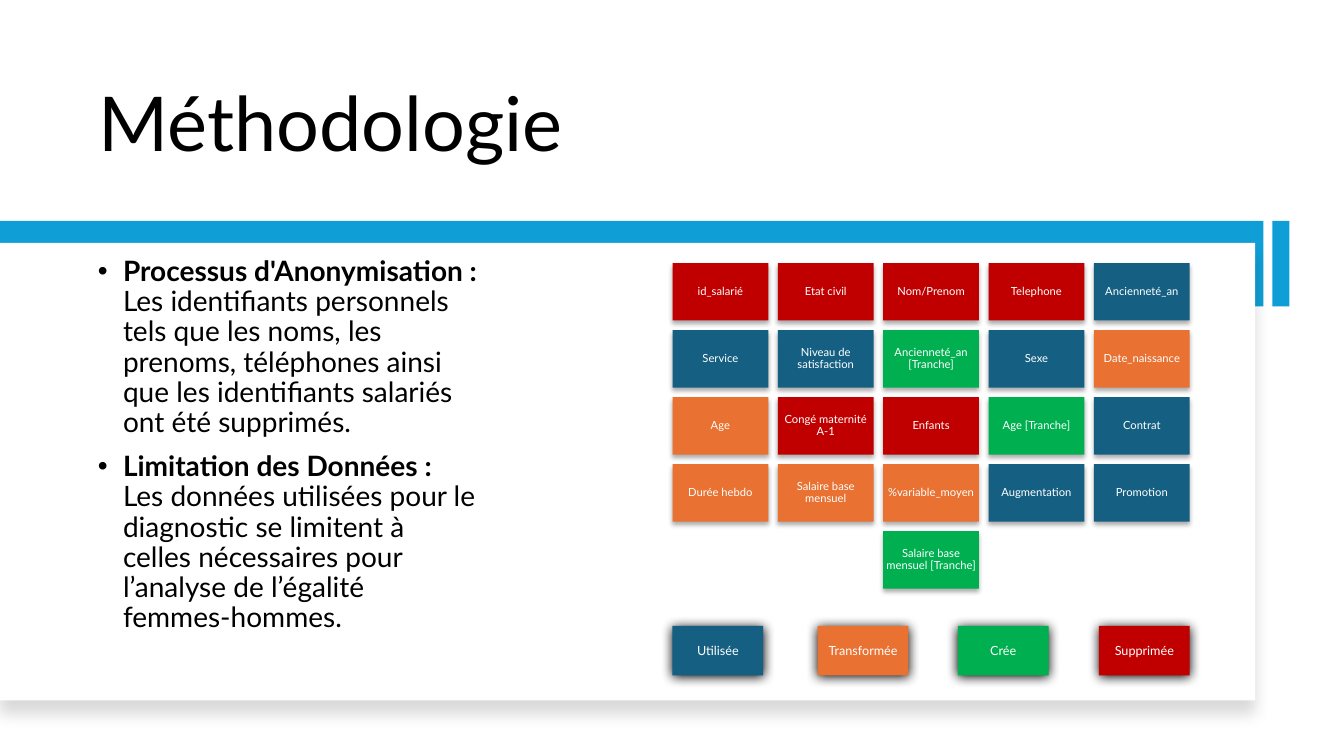
from copy import deepcopy
from dataclasses import dataclass

from lxml.etree import SubElement
from pptx import Presentation
from pptx.dml.color import RGBColor
from pptx.enum.shapes import MSO_SHAPE
from pptx.enum.text import MSO_ANCHOR, MSO_AUTO_SIZE, PP_ALIGN
from pptx.oxml.ns import qn
from pptx.util import Inches, Pt


@dataclass(frozen=True)
class Theme:
    font: str = "Lato"
    ink: str = "000000"
    paper: str = "FFFFFF"
    accent: str = "0F9ED5"
    used: str = "156082"
    transformed: str = "E97132"
    created: str = "00B050"
    removed: str = "C00000"
    title_size: float = 54
    body_size: float = 20
    tile_size: float = 8
    legend_size: float = 9
    # Shadows: opacity %, blur pt, distance pt
    panel_shadow: tuple = (15, 11, 10)
    tile_shadow: tuple = (32, 3.5, 2.2)
    legend_shadow: tuple = (100, 8.5, 1)


class SlideBuilder:
    def __init__(self, slide, theme):
        self.slide = slide
        self.theme = theme

    def style_run(self, run, size, color, bold=False):
        run.font.name = self.theme.font
        run.font.size = Pt(size)
        run.font.bold = bold
        run.font.color.rgb = RGBColor.from_string(color)

    def place(self, placeholder, left, top, width, height, anchor):
        """Moves a placeholder to the front and sets its frame."""
        self.slide.shapes._spTree.append(placeholder._element)
        placeholder.left, placeholder.top = Inches(left), Inches(top)
        placeholder.width, placeholder.height = Inches(width), Inches(height)
        frame = placeholder.text_frame
        frame.auto_size = MSO_AUTO_SIZE.NONE
        frame.word_wrap = True
        frame.vertical_anchor = anchor
        return frame

    def title(self, text, *box):
        frame = self.place(self.slide.shapes.title, *box, MSO_ANCHOR.BOTTOM)
        frame.text = text
        heading = frame.paragraphs[0]
        heading.alignment = PP_ALIGN.LEFT
        heading.line_spacing = 0.9
        self.style_run(heading.runs[0], self.theme.title_size, self.theme.ink)

    def bullets(self, items, *box):
        frame = self.place(self.slide.placeholders[1], *box, MSO_ANCHOR.MIDDLE)
        frame.margin_bottom = Inches(0.49)
        for index, (lead, detail) in enumerate(items):
            item = frame.add_paragraph() if index else frame.paragraphs[0]
            item.text = f"{lead}\v{detail}"
            item.alignment = PP_ALIGN.LEFT
            item.line_spacing = 0.9
            item.space_before = Pt(10)
            for run, bold in zip(item.runs, (True, False)):
                self.style_run(run, self.theme.body_size, self.theme.ink, bold)
            # The line break takes the size of the text around it
            line_break = item._p.find(qn("a:br"))
            line_break.insert(0, deepcopy(item.runs[0]._r.rPr))
            properties = item._p.get_or_add_pPr()
            properties.set("marL", str(Inches(0.25)))
            properties.set("indent", str(Inches(-0.25)))
            SubElement(properties, qn("a:buFont"), typeface="Arial")
            SubElement(properties, qn("a:buChar"), char="•")

    def block(self, left, top, width, height, fill, shadow=None):
        block = self.slide.shapes.add_shape(
            MSO_SHAPE.RECTANGLE, Inches(left), Inches(top), Inches(width), Inches(height))
        block.fill.solid()
        block.fill.fore_color.rgb = RGBColor.from_string(fill)
        block.line.fill.background()
        block.shadow.inherit = False
        if shadow:
            self.drop_shadow(block, *shadow)
        return block

    def drop_shadow(self, block, opacity, blur, distance):
        effects = block._element.spPr.find(qn("a:effectLst"))
        outer = SubElement(effects, qn("a:outerShdw"), blurRad=str(Pt(blur)),
                           dist=str(Pt(distance)), dir="5400000", algn="t", rotWithShape="0")
        color = SubElement(outer, qn("a:srgbClr"), val=self.theme.ink)
        SubElement(color, qn("a:alpha"), val=str(opacity * 1000))

    def label(self, block, text, size, margin=None, line_spacing=1.0):
        frame = block.text_frame
        frame.text = text
        frame.word_wrap = True
        frame.vertical_anchor = MSO_ANCHOR.MIDDLE
        if margin is not None:
            frame.margin_left = frame.margin_right = Inches(margin)
            frame.margin_top = frame.margin_bottom = Inches(margin)
        caption = frame.paragraphs[0]
        caption.alignment = PP_ALIGN.CENTER
        caption.line_spacing = line_spacing
        self.style_run(caption.runs[0], size, self.theme.paper)

    def variable_tile(self, text, left, top, fill):
        tile = self.block(left, top, 0.95, 0.57, fill, self.theme.tile_shadow)
        self.label(tile, text, self.theme.tile_size, 0.03, 0.9)

    def legend_key(self, text, left, fill):
        key = self.block(left, 6.21, 0.9, 0.49, fill, self.theme.legend_shadow)
        self.label(key, text, self.theme.legend_size)


THEME = Theme()
USED, TRANSFORMED = THEME.used, THEME.transformed
CREATED, REMOVED = THEME.created, THEME.removed

VARIABLES = [
    [("id_salarié", REMOVED), ("Etat civil", REMOVED), ("Nom/Prenom", REMOVED),
     ("Telephone", REMOVED), ("Ancienneté_an", USED)],
    [("Service", USED), ("Niveau de satisfaction", USED), ("Ancienneté_an [Tranche]", CREATED),
     ("Sexe", USED), ("Date_naissance", TRANSFORMED)],
    [("Age", TRANSFORMED), ("Congé maternité A-1", REMOVED), ("Enfants", REMOVED),
     ("Age [Tranche]", CREATED), ("Contrat", USED)],
    [("Durée hebdo", TRANSFORMED), ("Salaire base mensuel", TRANSFORMED),
     ("%variable_moyen", TRANSFORMED), ("Augmentation", USED), ("Promotion", USED)],
    [("Salaire base mensuel [Tranche]", CREATED)],
]
LEGEND = [("Utilisée", 6.67, USED), ("Transformée", 8.11, TRANSFORMED),
          ("Crée", 9.5, CREATED), ("Supprimée", 10.9, REMOVED)]
PRINCIPLES = [
    ("Processus d'Anonymisation :",
     "Les identifiants personnels tels que les noms, les prenoms, téléphones ainsi "
     "que les identifiants salariés ont été supprimés."),
    ("Limitation des Données :",
     "Les données utilisées pour le diagnostic se limitent à celles nécessaires pour "
     "l’analyse de l’égalité femmes-hommes."),
]
GRID_LEFT, GRID_TOP, COLUMNS = 6.67, 2.61, 5
COLUMN_STEP = (10.85 - GRID_LEFT) / 4
ROW_STEP = (5.27 - GRID_TOP) / 4


def main():
    presentation = Presentation()
    presentation.slide_width, presentation.slide_height = Inches(13.33), Inches(7.5)
    slide = presentation.slides.add_slide(presentation.slide_layouts[1])
    builder = SlideBuilder(slide, THEME)

    # Title, blue band and white panel
    builder.title("Méthodologie", 0.88, 0.42, 10.1, 1.3)
    builder.block(12.62, 2.19, 0.17, 0.85, THEME.accent)
    builder.block(0, 2.19, 12.53, 0.85, THEME.accent)
    builder.block(0, 2.41, 12.45, 4.54, THEME.paper, THEME.panel_shadow)

    # Principles
    builder.bullets(PRINCIPLES, 0.87, 2.68, 3.98, 3.92)

    # Grid of variables, each row centred
    for row, variables in enumerate(VARIABLES):
        first_column = (COLUMNS - len(variables)) / 2
        for column, (name, fill) in enumerate(variables, start=0):
            builder.variable_tile(name, GRID_LEFT + (first_column + column) * COLUMN_STEP,
                                  GRID_TOP + row * ROW_STEP, fill)

    # Legend
    for status, left, fill in LEGEND:
        builder.legend_key(status, left, fill)

    presentation.save("out.pptx")


if __name__ == "__main__":
    main()
